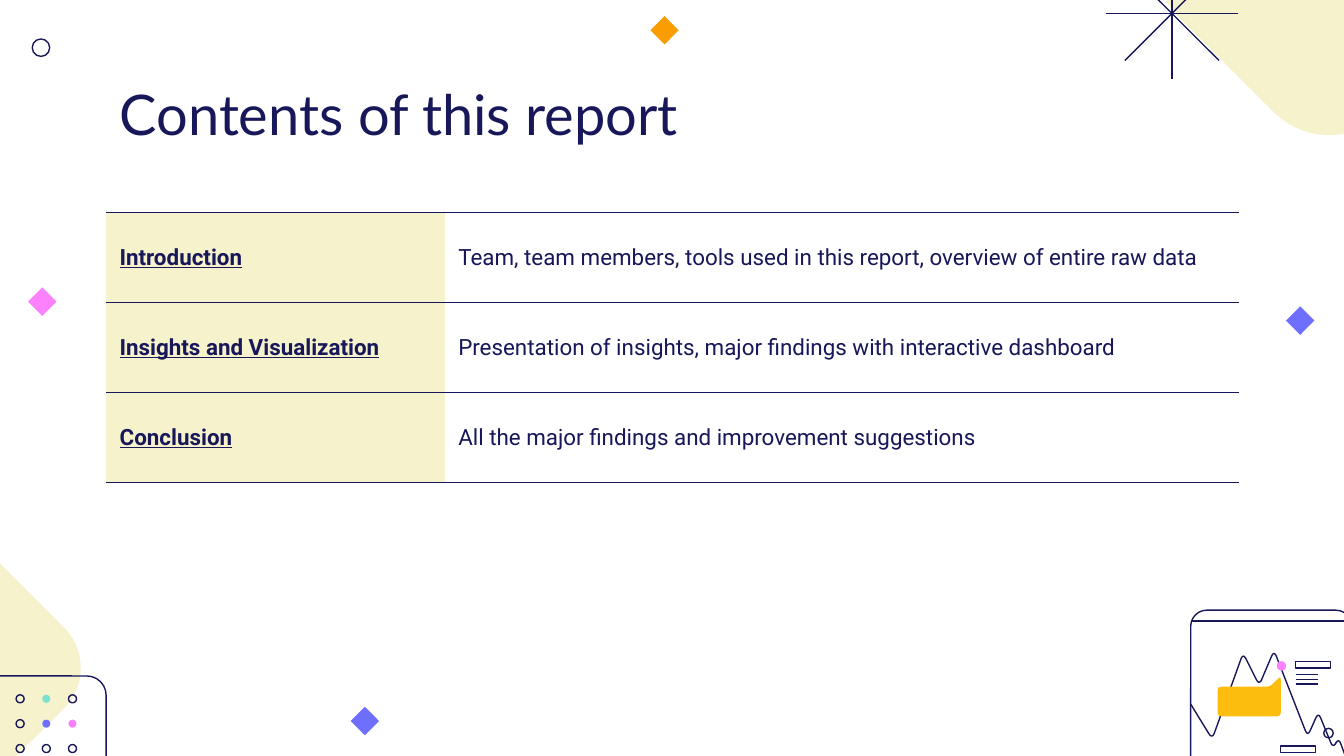
from dataclasses import dataclass
from math import dist

from lxml.etree import SubElement
from pptx import Presentation
from pptx.dml.color import RGBColor as RGB
from pptx.enum.shapes import MSO_CONNECTOR as LINK, MSO_SHAPE as KIND
from pptx.enum.text import MSO_ANCHOR as ANCHOR, PP_ALIGN as ALIGN
from pptx.oxml import parse_xml
from pptx.oxml.ns import nsdecls, qn
from pptx.util import Inches, Pt


@dataclass(frozen=True)
class Theme:
    ink: str = "17175A"
    cream: str = "F6F2CC"
    pink: str = "FC81FD"
    violet: str = "6E6FFF"
    orange: str = "FA9D02"
    amber: str = "FCBD0E"
    mint: str = "7CE1CF"
    head: str = "Lato"
    body: str = "Roboto"
    head_size: float = 30
    body_size: float = 12
    rule: float = 0.75


THEME = Theme()
ROWS = [
    ("Introduction",
     "Team, team members, tools used in this report, overview of entire raw data"),
    ("Insights and Visualization",
     "Presentation of insights, major findings with interactive dashboard"),
    ("Conclusion", "All the major findings and improvement suggestions"),
]


def paint(shape, fill=None):
    """Fill without an outline, or outline in ink when there is no fill."""
    shape.shadow.inherit = False
    if fill:
        shape.fill.solid()
        shape.fill.fore_color.rgb = RGB.from_string(fill)
        shape.line.fill.background()
    else:
        shape.fill.background()
        shape.line.color.rgb = RGB.from_string(THEME.ink)
        shape.line.width = Pt(THEME.rule)


def add_form(shapes, kind, x, y, w, h, fill=None):
    shape = shapes.add_shape(kind, Inches(x), Inches(y), Inches(w), Inches(h))
    paint(shape, fill)
    return shape


def add_line(shapes, x1, y1, x2, y2):
    line = shapes.add_connector(LINK.STRAIGHT, Inches(x1), Inches(y1),
                                Inches(x2), Inches(y2))
    line.line.color.rgb = RGB.from_string(THEME.ink)
    line.line.width = Pt(THEME.rule)
    SubElement(line._element.spPr, qn("a:effectLst"))


def bend(a, corner, b, trim, steps=6):
    """Points of a rounded corner that starts and ends trim away from it."""
    def toward(end):
        part = trim / dist(corner, end)
        return [c + (e - c) * part for c, e in zip(corner, end)]

    start, stop = toward(a), toward(b)
    for i in range(steps + 1):
        t = i / steps
        yield tuple((1 - t) ** 2 * s + 2 * t * (1 - t) * c + t * t * e
                    for s, c, e in zip(start, corner, stop))


def add_curve(shapes, x, y, points, trim, fill=None):
    """Draw rounded corners: closed when filled, else an open line."""
    if fill:
        trips = zip(points[-1:] + points[:-1], points, points[1:] + points[:1])
    else:
        trips = zip(points, points[1:], points[2:])
    track = [p for trip in trips for p in bend(*trip, trim)]
    if not fill:
        track = [points[0], *track, points[-1]]
    spots = [(Inches(x + px), Inches(y + py)) for px, py in track]
    form = shapes.build_freeform(*spots[0], scale=1.0)
    form.add_line_segments(spots[1:], close=bool(fill))
    paint(form.convert_to_shape(), fill)


def add_blob(shapes, x, y, side):
    blob = add_form(shapes, KIND.ROUNDED_RECTANGLE, x - side / 2, y - side / 2,
                    side, side, THEME.cream)
    blob.adjustments[0] = 0.27
    blob.rotation = 45


def add_star(shapes, x, y, reach, slant):
    star = shapes.add_group_shape().shapes
    for dx, dy in [(0, reach), (reach, 0), (slant, slant), (slant, -slant)]:
        add_line(star, x - dx, y - dy, x + dx, y + dy)


def add_decor(shapes):
    add_blob(shapes, 9.89, -0.28, 2.16)
    add_blob(shapes, -0.34, 4.97, 1.58)
    add_star(shapes, 8.72, 0.1, 0.49, 0.35)
    for x, y, tint in [(0.24, 2.17, THEME.pink), (2.64, 5.29, THEME.violet),
                       (4.87, 0.15, THEME.orange), (9.6, 2.31, THEME.violet)]:
        add_form(shapes, KIND.RECTANGLE, x, y, 0.15, 0.15, tint).rotation = 315
    add_form(shapes, KIND.OVAL, 0.24, 0.29, 0.13, 0.13)


def add_run(para, text, font, size, bold=False, under=False):
    run = para.add_run()
    run.text = text
    run.font.name = font
    run.font.size = Pt(size)
    run.font.bold = bold
    run.font.underline = under
    run.font.color.rgb = RGB.from_string(THEME.ink)


def set_title(title, x, y, w, h):
    title.left, title.top, title.width, title.height = map(Inches, (x, y, w, h))
    frame = title.text_frame
    frame.margin_left = frame.margin_right = Inches(0.1)
    frame.margin_top = frame.margin_bottom = Inches(0.1)
    frame.vertical_anchor = ANCHOR.TOP
    frame.word_wrap = True
    para = frame.paragraphs[0]
    para.alignment = ALIGN.LEFT
    add_run(para, "Contents of this report", THEME.head, THEME.head_size)


def set_edges(cell):
    """Rule the cell above and below only."""
    ink = f'<a:solidFill><a:srgbClr val="{THEME.ink}"/></a:solidFill>'
    sides = [("L", "<a:noFill/>"), ("R", "<a:noFill/>"), ("T", ink), ("B", ink)]
    props = cell._tc.get_or_add_tcPr()
    for i, (side, fill) in enumerate(sides):
        props.insert(i, parse_xml(
            f'<a:ln{side} {nsdecls("a")} w="{Pt(THEME.rule)}">{fill}</a:ln{side}>'))


def add_contents(shapes, x, y, w, h):
    table = shapes.add_table(len(ROWS), 2, Inches(x), Inches(y),
                             Inches(w), Inches(h)).table
    table.first_row = table.horz_banding = False
    table.columns[0].width = Inches(2.52)
    table.columns[1].width = Inches(w - 2.52)
    for r, texts in enumerate(ROWS):
        for c, text in enumerate(texts):
            cell, lead = table.cell(r, c), c == 0
            cell.vertical_anchor = ANCHOR.MIDDLE
            cell.margin_left = cell.margin_right = Inches(0.1)
            cell.margin_top = cell.margin_bottom = 0
            para = cell.text_frame.paragraphs[0]
            if lead:
                cell.fill.solid()
                cell.fill.fore_color.rgb = RGB.from_string(THEME.cream)
            else:
                cell.fill.background()
                para.space_after = Pt(16)
            set_edges(cell)
            add_run(para, text, THEME.body, THEME.body_size, lead, lead)


def add_chart_card(shapes, x, y, w, h):
    card = shapes.add_group_shape().shapes
    for dx, dy in [(0.78, 0.38), (0.67, 1.01)]:
        add_form(card, KIND.RECTANGLE, x + dx, y + dy, 0.26, 0.05)
    for i in range(3):
        rise = y + 0.48 + 0.035 * i
        add_line(card, x + 0.78, rise, x + 0.95, rise)
    add_form(card, KIND.ROUNDED_RECTANGLE, x, y, w, h).adjustments[0] = 0.1
    wave = [(0, 0.7), (0.16, 0.96), (0.39, 0.32), (0.51, 0.56), (0.62, 0.3),
            (0.87, 0.94), (0.95, 0.76), (1.06, 1.03), (1.1, 0.95), (w, 1.22)]
    add_curve(card, x, y, wave, 0.05)
    add_form(card, KIND.OVAL, x + 0.64, y + 0.38, 0.07, 0.07, THEME.pink)
    add_form(card, KIND.OVAL, x + 0.99, y + 0.88, 0.07, 0.07)
    bubble = [(0.2, 0.57), (0.59, 0.57), (0.67, 0.49), (0.67, 0.79), (0.2, 0.79)]
    add_curve(card, x, y, bubble, 0.03, THEME.amber)
    add_line(card, x, y + 0.08, x + w, y + 0.08)


def add_dot_card(shapes, x, y, w, h):
    card = shapes.add_group_shape().shapes
    add_form(card, KIND.ROUNDED_RECTANGLE, x, y, w, h).adjustments[0] = 0.16
    tints = {(0, 1): THEME.mint, (1, 1): THEME.violet, (1, 2): THEME.pink}
    for r in range(3):
        for c in range(3):
            add_form(card, KIND.OVAL, x + 0.41 + 0.195 * c, y + 0.14 + 0.185 * r,
                     0.06, 0.06, tints.get((r, c)))


def main():
    deck = Presentation()
    deck.slide_width = Inches(10)
    deck.slide_height = deck.slide_width * 9 // 16
    shapes = deck.slides.add_slide(deck.slide_layouts[5]).shapes
    add_decor(shapes)
    set_title(shapes.title, 0.79, 0.49, 8.43, 0.63)
    add_contents(shapes, 0.79, 1.58, 8.43, 2.01)
    add_chart_card(shapes, 8.86, 4.54, 1.2, 1.35)
    add_dot_card(shapes, -0.29, 5.03, 1.08, 0.9)
    deck.save("out.pptx")


if __name__ == "__main__":
    main()
